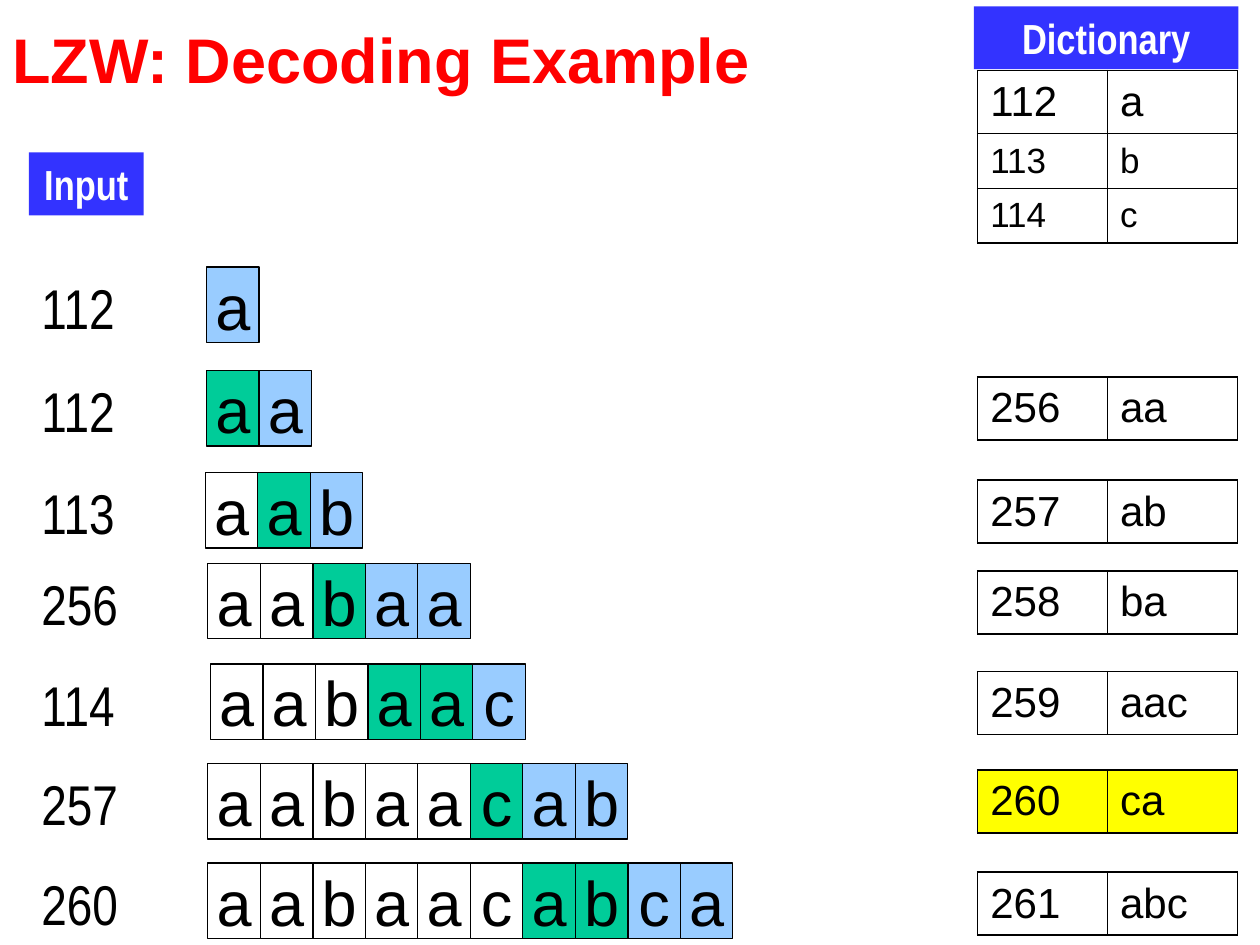
"""Build the LZW decoding example slide."""
import pptx
import pptx.dml.color
import pptx.enum.shapes
import pptx.enum.text
import pptx.oxml
import pptx.oxml.ns
import pptx.util

COLORS = {
    "title": "FF0000", "header": "3333FF", "text": "000000", "paper": "FFFFFF",
    "current": "99CCFF", "previous": "00CC99", "highlight": "FFFF00",
}
TITLE = "LZW: Decoding Example"
HEADERS = [("Input", 0.23, 1.21, 0.91), ("Dictionary", 7.73, 0.05, 2.1)]
INITIAL_ENTRIES = [("112", "a", 24, 0.5), ("113", "b", 20, 0.43), ("114", "c", 20, 0.43)]
# code, decoded piece, row left, row top, new entry, entry top
STEPS = [
    ("112", "a", 1.64, 2.12, None, None),
    ("112", "a", 1.64, 2.94, ("256", "aa"), 2.99),
    ("113", "b", 1.63, 3.75, ("257", "ab"), 3.81),
    ("256", "aa", 1.65, 4.47, ("258", "ba"), 4.53),
    ("114", "c", 1.67, 5.27, ("259", "aac"), 5.33),
    ("257", "ab", 1.65, 6.06, ("260", "ca"), 6.11),
    ("260", "ca", 1.65, 6.85, ("261", "abc"), 6.92),
]
HIGHLIGHTED_CODE = "260"
PITCH = 1.25 / 3
CELL_HEIGHT = 0.6
TABLE_LEFT, COLUMN_WIDTH, ENTRY_HEIGHT = 7.76, 1.03, 0.49
NARROW = "Arial Narrow"

Inches = pptx.util.Inches
MIDDLE = pptx.enum.text.MSO_ANCHOR.MIDDLE
CENTER = pptx.enum.text.PP_ALIGN.CENTER


def rgb(name):
    return pptx.dml.color.RGBColor.from_string(COLORS[name])


def write(frame, text, size, font="Arial", color="text", bold=False, align=None):
    paragraph = frame.paragraphs[0]
    paragraph.alignment = align
    run = paragraph.add_run()
    run.text = text
    run.font.size = pptx.util.Pt(size)
    run.font.name = font
    run.font.bold = bold
    run.font.color.rgb = rgb(color)


def add_text(slide, box, text, size, wrap=False, anchor=None, **style):
    frame = slide.shapes.add_textbox(*map(Inches, box)).text_frame
    frame.word_wrap = wrap
    frame.vertical_anchor = anchor
    write(frame, text, size, **style)


def add_box(slide, box, fill, outlined):
    shape = slide.shapes.add_shape(pptx.enum.shapes.MSO_SHAPE.RECTANGLE, *map(Inches, box))
    shape.shadow.inherit = False
    shape.fill.solid()
    shape.fill.fore_color.rgb = rgb(fill)
    if outlined:
        shape.line.color.rgb = rgb("text")
        shape.line.width = pptx.util.Pt(0.75)
    else:
        shape.line.fill.background()
    return shape.text_frame


def add_header(slide, text, left, top, width):
    frame = add_box(slide, (left, top, width, 0.5), "header", False)
    frame.word_wrap = True
    frame.vertical_anchor = pptx.enum.text.MSO_ANCHOR.TOP
    write(frame, text, 24, NARROW, "paper", True, CENTER)


def add_decoded_row(slide, left, top, pieces):
    fills = ["paper"] * len(pieces)
    fills[-2:] = ["previous", "current"][-len(pieces):]
    letters = [(letter, fill) for piece, fill in zip(pieces, fills) for letter in piece]
    for index, (letter, fill) in enumerate(letters):
        frame = add_box(slide, (left + index * PITCH, top, PITCH, CELL_HEIGHT), fill, True)
        frame.word_wrap = False
        frame.vertical_anchor = MIDDLE
        write(frame, letter, 36, align=CENTER)


def style_cell(cell, text, size, fill):
    cell.vertical_anchor = MIDDLE
    write(cell.text_frame, text, size)
    properties = cell._tc.get_or_add_tcPr()
    for side in ("lnL", "lnR", "lnT", "lnB"):
        properties.append(pptx.oxml.parse_xml(
            f'<a:{side} {pptx.oxml.ns.nsdecls("a")} w="12700"><a:solidFill>'
            f'<a:srgbClr val="{COLORS["text"]}"/></a:solidFill></a:{side}>'))
    cell.fill.solid()
    cell.fill.fore_color.rgb = rgb(fill)


def add_entries(slide, top, entries):
    height = sum(entry[3] for entry in entries)
    box = (TABLE_LEFT, top, 2 * COLUMN_WIDTH, height)
    table = slide.shapes.add_table(len(entries), 2, *map(Inches, box)).table
    table.first_row = table.horz_banding = False
    for column in table.columns:
        column.width = Inches(COLUMN_WIDTH)
    for row, (code, phrase, size, row_height) in zip(table.rows, entries):
        row.height = Inches(row_height)
        fill = "highlight" if code == HIGHLIGHTED_CODE else "paper"
        for cell, text in zip(row.cells, (code, phrase)):
            style_cell(cell, text, size, fill)


def main():
    presentation = pptx.Presentation()
    presentation.slide_width, presentation.slide_height = Inches(10), Inches(7.5)
    slide = presentation.slides.add_slide(presentation.slide_layouts[6])
    add_text(slide, (0, -0.04, 6.16, 1.01), TITLE, 36, wrap=True, anchor=MIDDLE,
             color="title", bold=True)
    pieces = []
    for code, piece, left, top, entry, entry_top in STEPS:
        pieces.append(piece)
        add_decoded_row(slide, left, top, pieces)
        add_text(slide, (0.23, top, 0.82, CELL_HEIGHT), code, 32, font=NARROW)
        if entry:
            add_entries(slide, entry_top, [(*entry, 24, ENTRY_HEIGHT)])
    for header in HEADERS:
        add_header(slide, *header)
    add_entries(slide, 0.56, INITIAL_ENTRIES)
    presentation.save("out.pptx")


if __name__ == "__main__":
    main()
